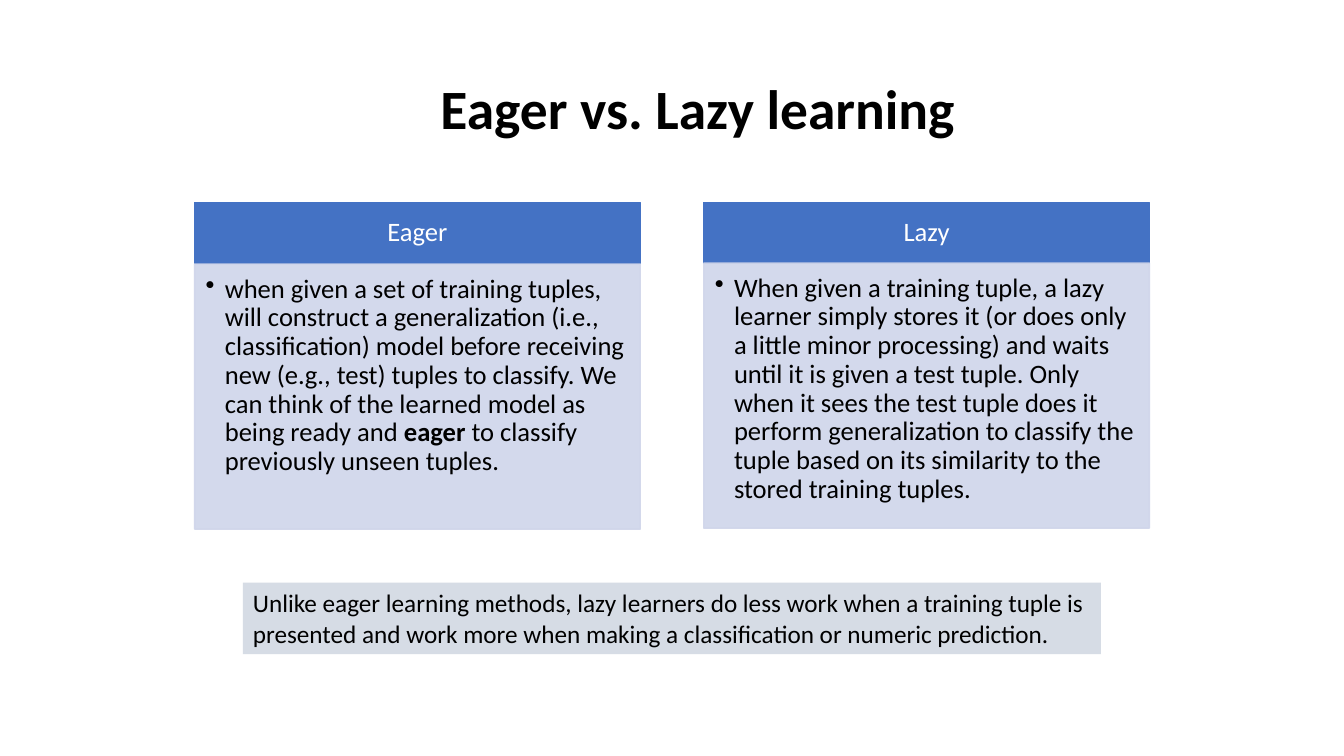
from lxml import etree
from pptx import Presentation
from pptx.dml.color import RGBColor
from pptx.enum.shapes import MSO_SHAPE
from pptx.enum.text import MSO_ANCHOR, PP_ALIGN
from pptx.oxml.ns import qn
from pptx.util import Inches, Pt

RECT = MSO_SHAPE.RECTANGLE
TOP, MIDDLE = MSO_ANCHOR.TOP, MSO_ANCHOR.MIDDLE
LEFT, CENTER = PP_ALIGN.LEFT, PP_ALIGN.CENTER

FONT = "Calibri"
BLACK, WHITE, BLUE, PALE, GRAY = "000000", "FFFFFF", "4472C4", "CFD5EA", "D6DCE5"

TITLE = "Eager vs. Lazy learning"
CARDS = [
    ("Eager", 2.62, [
        ("when given a set of training tuples, will construct a generalization "
         "(i.e., classification) model before receiving new (e.g., test) tuples "
         "to classify. We can think of the learned model as being ready and ", False),
        ("eager ", True),
        ("to classify previously unseen tuples.", False),
    ]),
    ("Lazy", 2.61, [
        ("When given a training tuple, a lazy learner simply stores it (or does "
         "only a little minor processing) and waits until it is given a test "
         "tuple. Only when it sees the test tuple does it perform generalization "
         "to classify the tuple based on its similarity to the stored training "
         "tuples.", False),
    ]),
]
NOTE = ("Unlike eager learning methods, lazy learners do less work when a training "
        "tuple is presented and work more when making a classification or numeric "
        "prediction.")

CARD_X, CARD_W, STEP = 1.93, 4.42, 5.05
HEAD_Y, HEAD_H, BODY_H = 2.01, 0.6, 2.63


def rgb(color):
    return RGBColor.from_string(color)


def write(shape, runs, size, color, align, anchor, pad, spacing):
    frame = shape.text_frame
    frame.word_wrap = True
    frame.vertical_anchor = anchor
    (frame.margin_left, frame.margin_top,
     frame.margin_right, frame.margin_bottom) = map(Inches, pad)
    para = frame.paragraphs[0]
    para.alignment = align
    para.line_spacing = spacing
    for text, bold in runs:
        run = para.add_run()
        run.text = text
        run.font.name = FONT
        run.font.size = Pt(size)
        run.font.bold = bold
        run.font.color.rgb = rgb(color)
    return para


def add_box(slide, x, y, w, h, fill, edge=True):
    box = slide.shapes.add_shape(RECT, Inches(x), Inches(y), Inches(w), Inches(h))
    box.shadow.inherit = False
    box.fill.solid()
    box.fill.fore_color.rgb = rgb(fill)
    if edge:
        box.line.color.rgb = rgb(fill)
        box.line.width = Pt(1)
    else:
        box.line.fill.background()
    return box


def fade(shape, percent):
    for color in shape._element.spPr.iter(qn("a:srgbClr")):
        etree.SubElement(color, qn("a:alpha")).set("val", str(percent * 1000))


def add_bullet(para, indent):
    props = para._p.get_or_add_pPr()
    props.set("marL", str(Inches(indent)))
    props.set("indent", str(-Inches(indent)))
    etree.SubElement(props, qn("a:buChar")).set("char", "•")


def main():
    prs = Presentation()
    prs.slide_width, prs.slide_height = Inches(13.33), Inches(7.5)
    slide = prs.slides.add_slide(prs.slide_layouts[5])

    title = slide.shapes.title
    title.left, title.top = Inches(1.67), Inches(0.73)
    title.width, title.height = Inches(10.5), Inches(0.75)
    write(title, [(TITLE, True)], 39.6, BLACK, CENTER, MIDDLE,
          (0.1, 0.05, 0.1, 0.05), 0.9)

    for col, (name, body_y, runs) in enumerate(CARDS):
        x = CARD_X + col * STEP
        head = add_box(slide, x, HEAD_Y, CARD_W, HEAD_H, BLUE)
        write(head, [(name, False)], 19, WHITE, CENTER, MIDDLE,
              (0.15, 0.08, 0.15, 0.08), 0.9)
        body = add_box(slide, x, body_y, CARD_W, BODY_H, PALE)
        fade(body, 90)
        para = write(body, runs, 19, BLACK, LEFT, TOP,
                     (0.11, 0.11, 0.15, 0.17), 0.9)
        add_bullet(para, 0.19)

    note = add_box(slide, 2.41, 5.78, 8.51, 0.71, GRAY, edge=False)
    write(note, [(NOTE, False)], 18, BLACK, LEFT, TOP, (0.1, 0.05, 0.1, 0.05), 1.0)
    prs.save("out.pptx")


if __name__ == "__main__":
    main()
